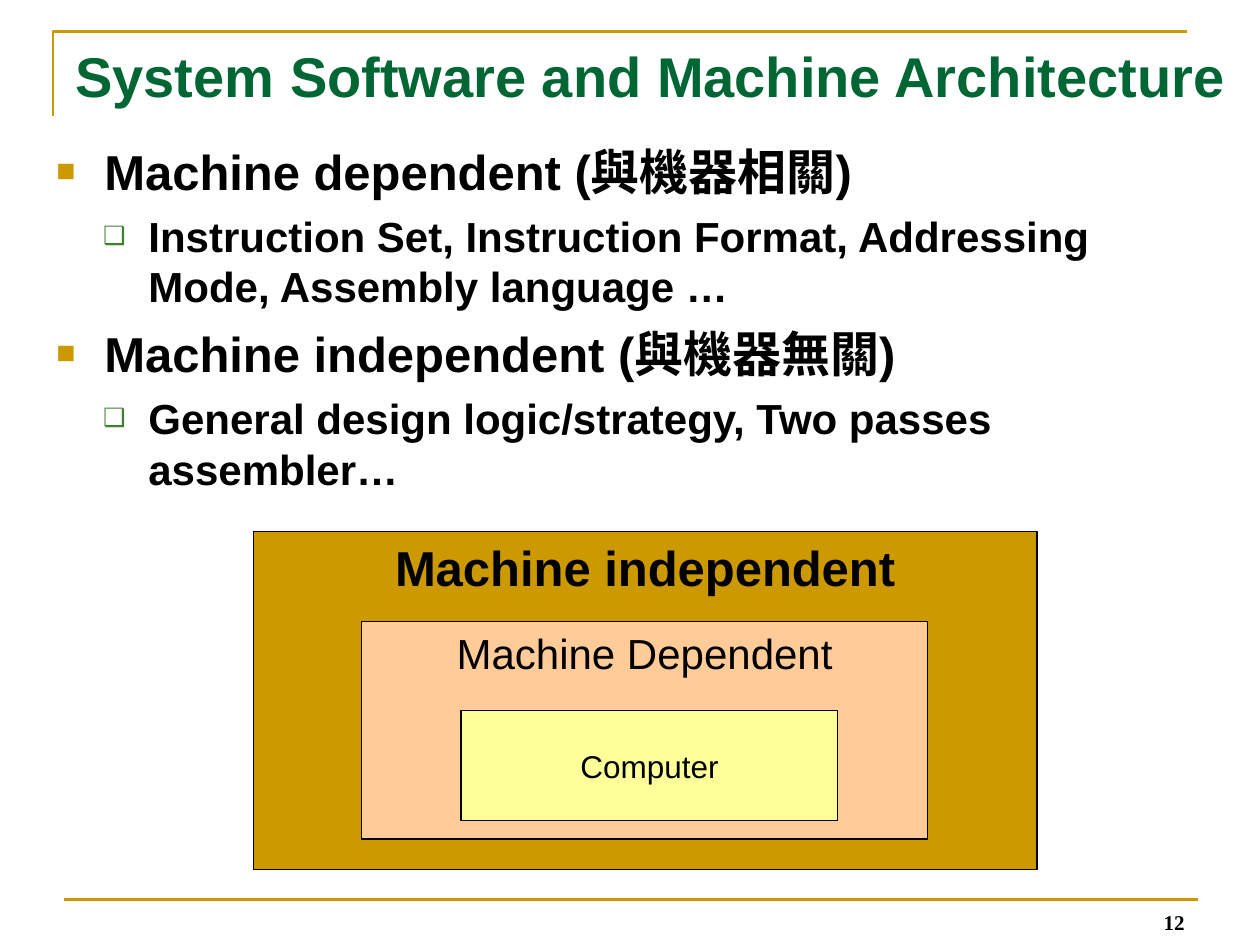
from dataclasses import dataclass

from lxml import etree
from pptx import Presentation
from pptx import util as u
from pptx.dml.color import RGBColor
from pptx.enum import shapes, text
from pptx.oxml import ns


@dataclass
class Theme:
    gold: str = "CC9900"
    peach: str = "FFCC99"
    yellow: str = "FFFF99"
    title: str = "006633"
    bullet: str = "3B812F"
    ink: str = "000000"
    font: str = "Arial"
    number_font: str = "Times New Roman"
    title_size: int = 32
    large: int = 28
    medium: int = 24
    small: int = 18
    number_size: int = 12


th = Theme()
prs = Presentation()
prs.slide_width, prs.slide_height = u.Inches(10), u.Inches(7.5)
W, H = prs.slide_width / 100, prs.slide_height / 100  # one percent of the slide
s = prs.slides.add_slide(prs.slide_layouts[6])


def box(x, y, w, h, anchor=text.MSO_ANCHOR.TOP, fill=None):
    """Add a text box, or a filled rectangle, placed in percent of the slide."""
    area = [int(v) for v in (x * W, y * H, w * W, h * H)]
    if fill:
        sp = s.shapes.add_shape(shapes.MSO_SHAPE.RECTANGLE, *area)
        sp.shadow.inherit = False
        sp.fill.solid()
        sp.fill.fore_color.rgb = RGBColor.from_string(fill)
        sp.line.color.rgb = RGBColor.from_string(th.ink)
        sp.line.width = u.Pt(0.75)
    else:
        sp = s.shapes.add_textbox(*area)
    tf = sp.text_frame
    tf.word_wrap = not fill
    tf.vertical_anchor = anchor
    return tf


def write(p, words, size, bold=True, color=th.ink, font=th.font, align=text.PP_ALIGN.LEFT):
    """Add one run to a paragraph."""
    p.alignment = align
    r = p.add_run()
    r.text = words
    r.font.size, r.font.bold, r.font.name = u.Pt(size), bold, font
    r.font.color.rgb = RGBColor.from_string(color)


# Frame: corner rule at the top, straight rule at the bottom
left, top, right = 4.2 * W, 3.3 * H, 94.2 * W
fb = s.shapes.build_freeform(int(left), int(12.3 * H))
fb.add_line_segments([(int(left), int(top)), (int(right), int(top))], close=False)
corner = fb.convert_to_shape()
corner.shadow.inherit = False
corner.fill.background()
rule = s.shapes.add_connector(shapes.MSO_CONNECTOR.STRAIGHT,
                              int(5.1 * W), int(95.2 * H), int(95.1 * W), int(95.2 * H))
etree.SubElement(rule._element.spPr, ns.qn("a:effectLst"))
for sp in (corner, rule):
    sp.line.color.rgb = RGBColor.from_string(th.gold)
    sp.line.width = u.Pt(1.5)

# Title
tf = box(5, 3.73, 95, 11.6)
write(tf.paragraphs[0], "System Software and Machine Architecture", th.title_size, color=th.title)

# Bulleted list: margin, hang, space before, size, mark, mark colour, mark percent
levels = [
    (0.38, 0.38, 7, th.large, "■", th.gold, 65),
    (0.73, 0.36, 6, th.medium, "❑", th.bullet, 60),
]
items = [
    (0, "Machine dependent (與機器相關)"),
    (1, "Instruction Set, Instruction Format, Addressing Mode, Assembly language …"),
    (0, "Machine independent (與機器無關)"),
    (1, "General design logic/strategy, Two passes assembler…"),
]
tf = box(3.5, 14.27, 93.7, 44.13)
for i, (level, words) in enumerate(items):
    margin, hang, before, size, mark, color, percent = levels[level]
    p = tf.add_paragraph() if i else tf.paragraphs[0]
    p.level = level
    p.space_before = u.Pt(before)
    write(p, words, size)
    pPr = p._p.get_or_add_pPr()
    pPr.set("marL", str(u.Inches(margin)))
    pPr.set("indent", str(-u.Inches(hang)))
    clr = etree.SubElement(pPr, ns.qn("a:buClr"))
    etree.SubElement(clr, ns.qn("a:srgbClr"), val=color)
    etree.SubElement(pPr, ns.qn("a:buSzPct"), val=str(percent * 1000))
    etree.SubElement(pPr, ns.qn("a:buFont"), typeface=th.font)
    etree.SubElement(pPr, ns.qn("a:buChar"), char=mark)

# Nested layers, outermost first
layers = [
    ("Machine independent", (20.1, 56.27, 62.2, 35.73), th.gold, th.large, True, text.MSO_ANCHOR.TOP),
    ("Machine Dependent", (28.7, 65.73, 44.9, 23.07), th.peach, th.medium, False, text.MSO_ANCHOR.TOP),
    ("Computer", (36.6, 75.2, 29.9, 11.6), th.yellow, th.small, False, text.MSO_ANCHOR.MIDDLE),
]
for words, area, fill, size, bold, anchor in layers:
    tf = box(*area, anchor=anchor, fill=fill)
    write(tf.paragraphs[0], words, size, bold, align=text.PP_ALIGN.CENTER)

# Page number
tf = box(71.7, 94.8, 23.3, 4.8, anchor=text.MSO_ANCHOR.BOTTOM)
write(tf.paragraphs[0], "12", th.number_size, font=th.number_font, align=text.PP_ALIGN.RIGHT)

prs.save("out.pptx")
